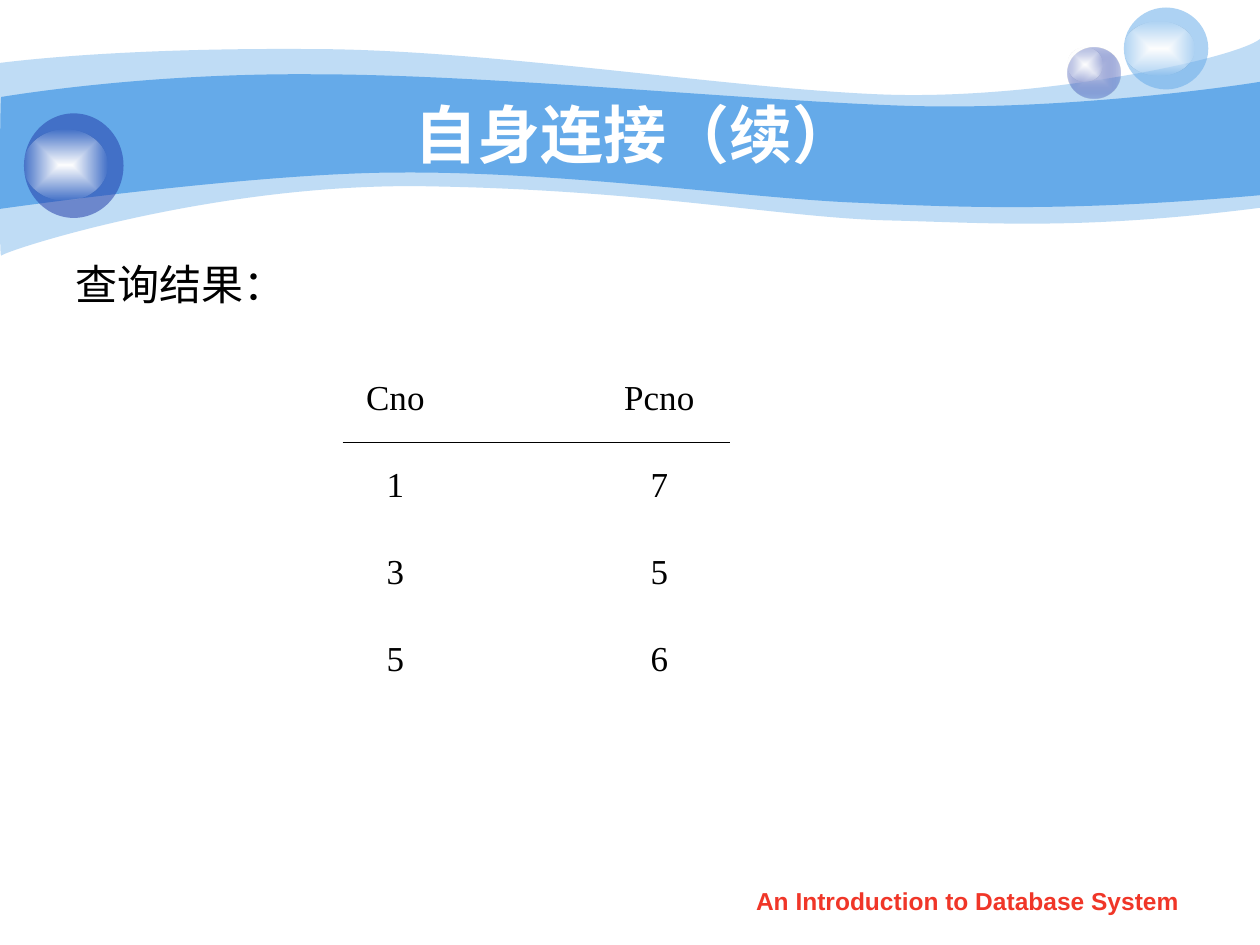
"""Build the self-join result slide with a wave banner, glossy balls and a small table."""
from pptx import Presentation
from pptx.dml.color import RGBColor
from pptx.enum.shapes import MSO_CONNECTOR, MSO_SHAPE
from pptx.enum.text import MSO_ANCHOR, PP_ALIGN
from pptx.oxml import parse_xml
from pptx.oxml.ns import nsdecls, qn
from pptx.util import Inches, Pt
from lxml.etree import SubElement

WIDTH, HEIGHT = 10, 7.5
SKY = RGBColor(0x65, 0xAA, 0xE9)
NAVY = RGBColor(0x23, 0x3D, 0xA9)
LAVENDER = RGBColor(0xC6, 0xCC, 0xE8)
WHITE = RGBColor(0xFF, 0xFF, 0xFF)
GLOSS_EDGE = RGBColor(0xFE, 0xFE, 0xFE)
BLACK = RGBColor(0, 0, 0)
RED = RGBColor(0xF0, 0x36, 0x28)

WAVES = [
    ([(SKY, 41)], [
        (0, 0.5), (0.24, 0.47, 1.07, 0.38, 2.47, 0.39), (3.86, 0.39, 5.75, 0.7, 6.99, 0.75),
        (8.22, 0.8, 9.8, 0.47, 10, 0.31), (10, 1.65), (8.58, 1.83, 7.87, 1.77, 7.05, 1.75),
        (6.22, 1.73, 5.15, 1.51, 3.43, 1.48), (1.72, 1.44, 0.04, 1.99, 0.01, 2.03),
        (-0.01, 2.08, 0, 0.75, 0, 0.5)]),
    ([(SKY, 100)], [
        (0.01, 0.77), (0.02, 0.77, 1.1, 0.58, 2.48, 0.59), (3.86, 0.59, 5.95, 0.8, 7.18, 0.84),
        (8.41, 0.88, 9.76, 0.69, 10, 0.65), (10, 1.55), (8.53, 1.68, 7.65, 1.65, 6.82, 1.61),
        (5.99, 1.58, 4.47, 1.36, 3.17, 1.37), (2.03, 1.37, -0.02, 1.66, -0.01, 1.66),
        (0, 1.66, 0, 0.77, 0.01, 0.77)]),
]
GLOSS = [(WHITE, 100), (GLOSS_EDGE, 0)]
BALLS = [
    ((8.47, 0.38, 0.42, 0.4), [(LAVENDER, 100), (NAVY, 31)]),
    ((8.47, 0.38, 0.28, 0.27), GLOSS),
    ((8.92, 0.06, 0.67, 0.65), [(SKY, 53)]),
    ((8.92, 0.17, 0.56, 0.43), GLOSS),
    ((0.19, 0.9, 0.79, 0.83), [(NAVY, 53)]),
    ((0.19, 1.03, 0.66, 0.56), GLOSS),
]
CENTERED = {"alignment": PP_ALIGN.CENTER}
TITLE = ("自身连接（续）", (1, 0.75, 8.08, 0.62), MSO_ANCHOR.MIDDLE, CENTERED,
         {"size": Pt(36), "name": "Arial", "bold": True}, WHITE)
BODY = ("查询结果：", (0.5, 2, 4.42, 0.65), MSO_ANCHOR.TOP, {"space_before": Pt(6)},
        {"size": Pt(24), "name": "Arial"}, BLACK)
FOOTER = ("An Introduction to Database System", (5.71, 6.98, 3.94, 0.35), MSO_ANCHOR.TOP,
          CENTERED, {"size": Pt(14), "name": "Arial", "bold": True}, RED)
ROWS = [("Cno", "Pcno"), ("1", "7"), ("3", "5"), ("5", "6")]
TABLE_BOX = (2.09, 2.96, 4.19, 0.69 * len(ROWS))
CELL_FONT = {"size": Pt(20), "name": "Times New Roman"}
HEADER_RULE = (2.72, 3.51, 5.79, 3.51)


def inches(values):
    return [Inches(value) for value in values]


def color_xml(color, alpha):
    return f'<a:srgbClr val="{color}"><a:alpha val="{alpha * 1000}"/></a:srgbClr>'


def paint(shape, stops):
    if len(stops) == 1:
        xml = f'<a:solidFill {nsdecls("a")}>{color_xml(*stops[0])}</a:solidFill>'
    else:
        marks = "".join(f'<a:gs pos="{index * 100000}">{color_xml(*stop)}</a:gs>'
                        for index, stop in enumerate(stops))
        xml = (f'<a:gradFill {nsdecls("a")} rotWithShape="1"><a:gsLst>{marks}</a:gsLst>'
               '<a:path path="rect"><a:fillToRect l="50000" t="50000" r="50000" b="50000"/>'
               '</a:path></a:gradFill>')
    shape.line.fill.background()
    shape.shadow.inherit = False
    shape._element.spPr.insert(2, parse_xml(xml))


def add_wave(slide, stops, outline):
    points = [inches(segment[index:index + 2])
              for segment in outline for index in range(0, len(segment), 2)]
    builder = slide.shapes.build_freeform(*points[0])
    builder.add_line_segments(points[1:], close=True)
    shape = builder.convert_to_shape()
    lines = iter(list(shape._element.iter(qn("a:lnTo"))))
    for segment in outline[1:]:
        first = next(lines)
        if len(segment) == 6:
            first.tag = qn("a:cubicBezTo")
            for line in (next(lines), next(lines)):
                first.append(line[0])
                line.getparent().remove(line)
    paint(shape, stops)


def write(frame, text, layout, font, color):
    paragraph = frame.paragraphs[0]
    run = paragraph.add_run()
    run.text = text
    for target, values in ((paragraph, layout), (run.font, font)):
        for name, value in values.items():
            setattr(target, name, value)
    run.font.color.rgb = color


def add_text(slide, text, box, anchor, layout, font, color):
    frame = slide.shapes.add_textbox(*inches(box)).text_frame
    frame.word_wrap = True
    frame.vertical_anchor = anchor
    write(frame, text, layout, font, color)


def add_result_table(slide):
    table = slide.shapes.add_table(len(ROWS), len(ROWS[0]), *inches(TABLE_BOX)).table
    table.first_row = table.horz_banding = False
    for row, values in enumerate(ROWS):
        for column, value in enumerate(values):
            cell = table.cell(row, column)
            cell.fill.background()
            write(cell.text_frame, value, CENTERED, CELL_FONT, BLACK)
    rule = slide.shapes.add_connector(MSO_CONNECTOR.STRAIGHT, *inches(HEADER_RULE))
    rule.line.color.rgb = BLACK
    rule.line.width = Pt(0.75)
    SubElement(rule._element.spPr, qn("a:effectLst"))


def main():
    presentation = Presentation()
    presentation.slide_width, presentation.slide_height = inches((WIDTH, HEIGHT))
    slide = presentation.slides.add_slide(presentation.slide_layouts[6])
    for stops, outline in WAVES:
        add_wave(slide, stops, outline)
    for box, stops in BALLS:
        paint(slide.shapes.add_shape(MSO_SHAPE.OVAL, *inches(box)), stops)
    add_text(slide, *TITLE)
    add_text(slide, *BODY)
    add_result_table(slide)
    add_text(slide, *FOOTER)
    presentation.save("out.pptx")


if __name__ == "__main__":
    main()
